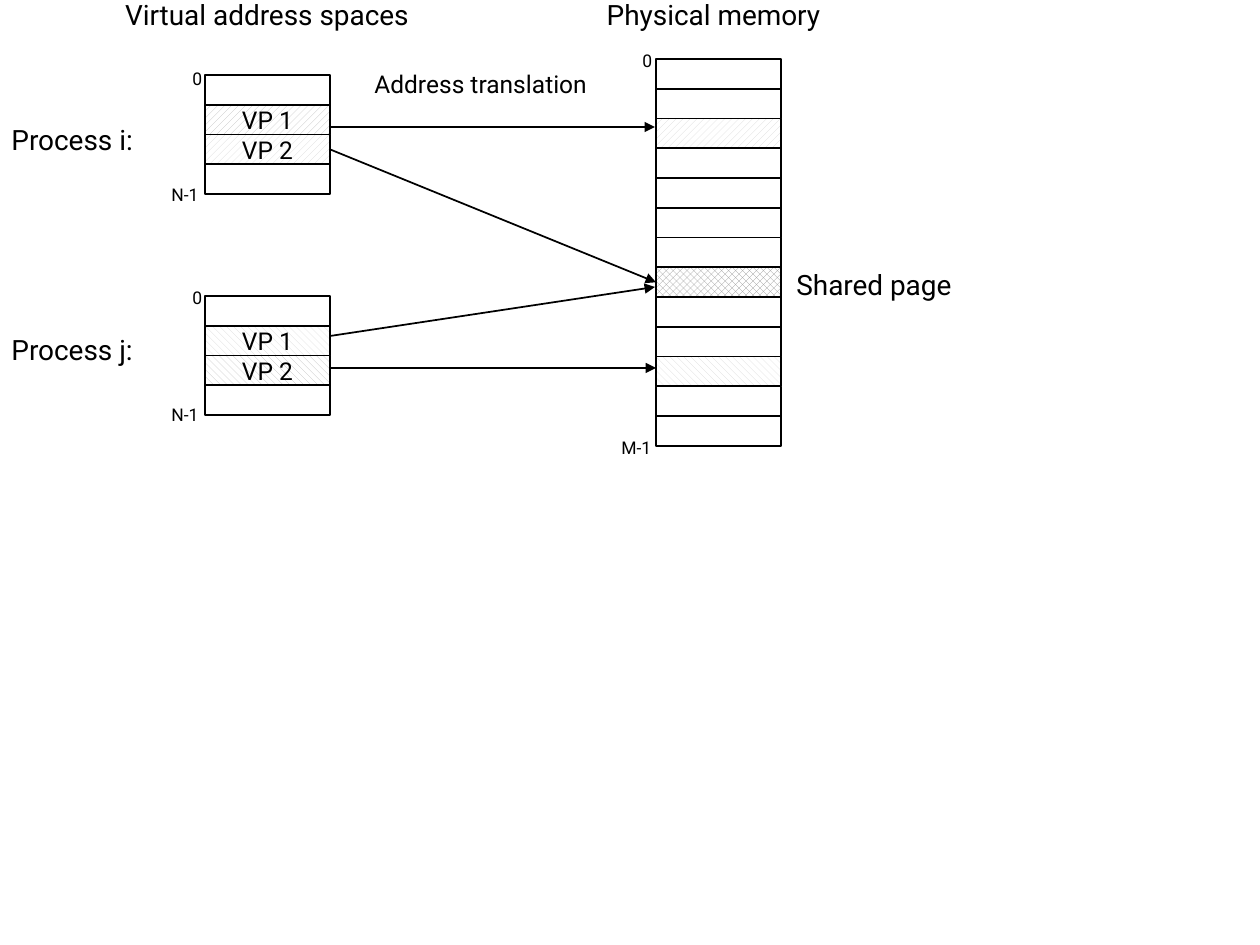
import pptx
import pptx.util
import pptx.dml.color
import pptx.enum.dml
import pptx.enum.shapes
import pptx.enum.text
import pptx.oxml

PX = 914400 / 126
FONT = "Roboto"
PATTERN = pptx.enum.dml.MSO_PATTERN
UP = PATTERN.from_xml("wdUpDiag")
DOWN = PATTERN.from_xml("wdDnDiag")
DIAMOND = PATTERN.from_xml("openDmnd")
LEFT = pptx.enum.text.PP_ALIGN.LEFT
CENTER = pptx.enum.text.PP_ALIGN.CENTER
PAGE_WIDTH = 125

SPACES = {
    "process i": {"left": 205, "top": 75, "bottom": 194, "pages": 4, "used": {
        1: ("VP 1", UP, "C0C0C0"), 2: ("VP 2", UP, "DADADA")}},
    "process j": {"left": 205, "top": 296, "bottom": 415, "pages": 4, "used": {
        1: ("VP 1", DOWN, "DADADA"), 2: ("VP 2", DOWN, "C0C0C0")}},
    "memory": {"left": 656, "top": 59, "bottom": 446, "pages": 13, "used": {
        2: ("", UP, "DADADA"), 7: ("", DIAMOND, "969696"),
        10: ("", DOWN, "DADADA")}},
}

LABELS = [
    ("Process i:", -1, 116, 171, 45, 16, LEFT, True),
    ("Process j:", -1, 326, 180, 45, 16, LEFT, True),
    ("Virtual address spaces", 98, -9, 338, 45, 16, CENTER, True),
    ("Physical memory", 577, -9, 273, 45, 16, CENTER, True),
    ("Address translation", 362, 63, 262, 42, 14, LEFT, True),
    ("Shared page", 784, 261, 192, 45, 16, LEFT, True),
    ("0", 180, 62, 34, 33, 10, LEFT, False),
    ("N-1", 159, 178, 53, 33, 10, LEFT, False),
    ("0", 180, 281, 34, 33, 10, LEFT, False),
    ("N-1", 159, 398, 53, 33, 10, LEFT, False),
    ("0", 630, 44, 34, 33, 10, LEFT, False),
    ("M-1", 609, 431, 55, 33, 10, LEFT, False),
]

TRANSLATIONS = [
    ((331, 127), (655, 127)),
    ((330, 336), (655, 287)),
    ((330, 368), (656, 368)),
]
SHARED = (("process i", 2), ("memory", 7))


def px(*lengths):
    return [pptx.util.Emu(round(length * PX)) for length in lengths]


def color(value):
    return pptx.dml.color.RGBColor.from_string(value)


def write(shape, text, size, align, **frame_format):
    frame = shape.text_frame
    for name, value in frame_format.items():
        setattr(frame, name, value)
    paragraph = frame.paragraphs[0]
    paragraph.text = text
    paragraph.alignment = align
    for name, value in {"size": pptx.util.Pt(size), "name": FONT}.items():
        setattr(paragraph.font, name, value)
    paragraph.font.color.rgb = color("000000")


def outline(line):
    line.color.rgb = color("000000")
    line.width = pptx.util.Pt(1)


def add_page(shapes, left, top, height, use):
    page = shapes.add_shape(pptx.enum.shapes.MSO_SHAPE.RECTANGLE,
                            *px(left, top, PAGE_WIDTH, height))
    page.shadow.inherit = False
    outline(page.line)
    if not use:
        page.fill.solid()
        page.fill.fore_color.rgb = color("FFFFFF")
        return page
    name, pattern, hatch = use
    page.fill.patterned()
    page.fill.pattern = pattern
    page.fill.fore_color.rgb = color(hatch)
    page.fill.back_color.rgb = color("FFFFFF")
    if name:
        write(page, name, 14, CENTER, word_wrap=False,
              vertical_anchor=pptx.enum.text.MSO_ANCHOR.MIDDLE)
    return page


def add_arrow(shapes, start, end):
    arrow = shapes.add_connector(pptx.enum.shapes.MSO_CONNECTOR.STRAIGHT,
                                 *px(*start, *end))
    outline(arrow.line)
    properties = arrow.line._get_or_add_ln()
    head = pptx.oxml.parse_xml(
        '<a:tailEnd xmlns:a="http://schemas.openxmlformats.org/drawingml/2006/main"'
        ' type="triangle"/>')
    properties.append(head)
    properties.getparent().append(pptx.oxml.parse_xml(
        '<a:effectLst xmlns:a="http://schemas.openxmlformats.org/drawingml/2006/main"/>'))
    return arrow


def main():
    deck = pptx.Presentation()
    deck.slide_width, deck.slide_height = px(1260, 945)
    shapes = deck.slides.add_slide(deck.slide_layouts[6]).shapes

    pages = {}
    for space, layout in SPACES.items():
        height = (layout["bottom"] - layout["top"]) / layout["pages"]
        for number in range(layout["pages"]):
            pages[space, number] = add_page(
                shapes, layout["left"], layout["top"] + number * height,
                height, layout["used"].get(number))

    for text, left, top, width, height, size, align, wrap in LABELS:
        label = shapes.add_textbox(*px(left, top, width, height))
        write(label, text, size, align, word_wrap=wrap,
              auto_size=pptx.enum.text.MSO_AUTO_SIZE.SHAPE_TO_FIT_TEXT)

    for start, end in TRANSLATIONS:
        add_arrow(shapes, start, end)
    virtual, shared = SHARED
    sharing = add_arrow(shapes, (330, 149), (656, 282))
    sharing.begin_connect(pages[virtual], 3)
    sharing.end_connect(pages[shared], 1)

    deck.save("out.pptx")


if __name__ == "__main__":
    main()
